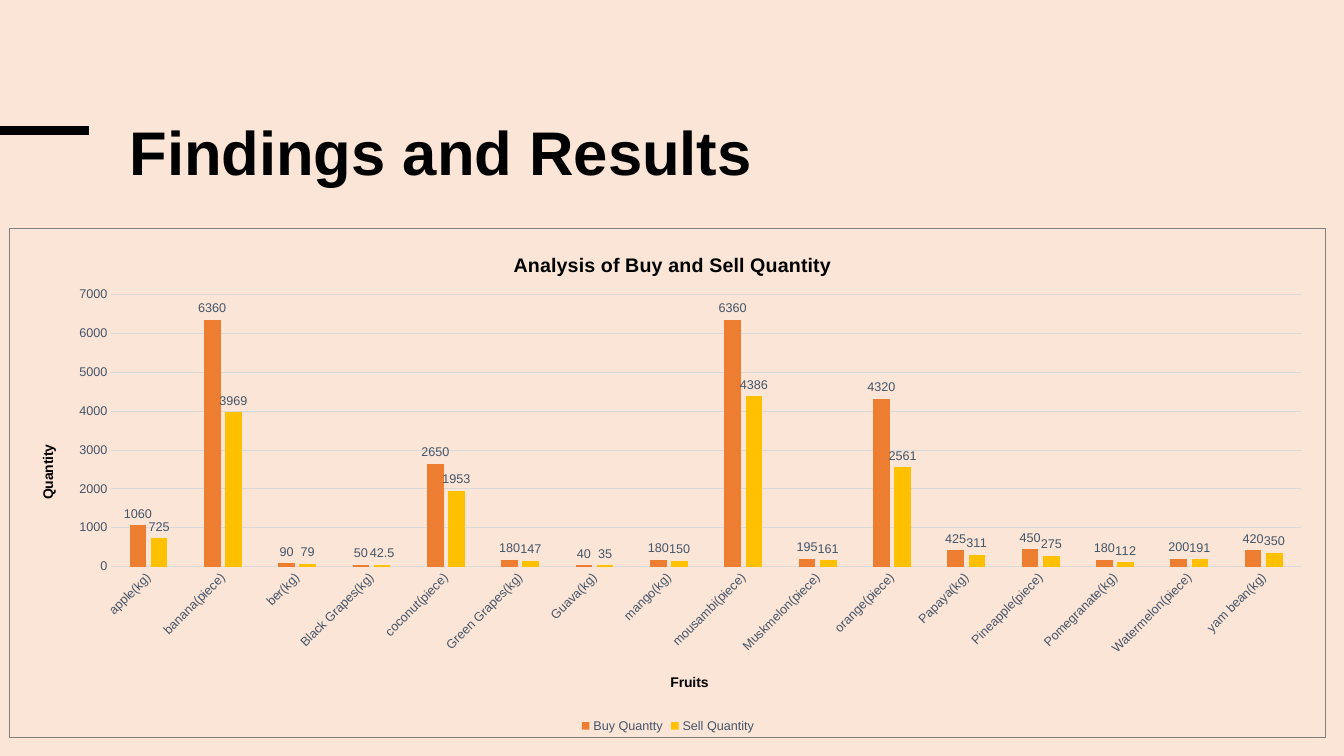
from lxml.etree import SubElement
from pptx import Presentation
from pptx.chart.data import CategoryChartData
from pptx.dml.color import RGBColor
from pptx.enum.chart import XL_CHART_TYPE, XL_LABEL_POSITION, XL_LEGEND_POSITION, XL_TICK_MARK
from pptx.enum.shapes import MSO_CONNECTOR
from pptx.oxml import parse_xml
from pptx.oxml.ns import nsdecls, qn
from pptx.util import Inches, Pt

COLORS = {
    "background": "FBE5D6",
    "title": "000000",
    "label": "44546A",
    "grid": "D9D9D9",
    "border": "808080",
    "buy": "ED7D31",
    "sell": "FFC000",
}

FRUITS = [
    ("apple(kg)", 1060, 725),
    ("banana(piece)", 6360, 3969),
    ("ber(kg)", 90, 79),
    ("Black Grapes(kg)", 50, 42.5),
    ("coconut(piece)", 2650, 1953),
    ("Green Grapes(kg)", 180, 147),
    ("Guava(kg)", 40, 35),
    ("mango(kg)", 180, 150),
    ("mousambi(piece)", 6360, 4386),
    ("Muskmelon(piece)", 195, 161),
    ("orange(piece)", 4320, 2561),
    ("Papaya(kg)", 425, 311),
    ("Pineapple(piece)", 450, 275),
    ("Pomegranate(kg)", 180, 112),
    ("Watermelon(piece)", 200, 191),
    ("yam bean(kg)", 420, 350),
]


class Deck:
    font = "Arial"
    width, height = Inches(13.33), Inches(7.5)

    def __init__(self):
        self.prs = Presentation()
        self.prs.slide_width, self.prs.slide_height = self.width, self.height

    def add_slide(self):
        self.s = self.prs.slides.add_slide(self.prs.slide_layouts[6])
        fill = self.s.background.fill
        fill.solid()
        fill.fore_color.rgb = self.color("background")

    def color(self, name):
        return RGBColor.from_string(COLORS[name])

    def x(self, share):
        return round(self.width * share)

    def y(self, share):
        return round(self.height * share)

    def box(self, x, y, w, h):
        return self.x(x), self.y(y), self.x(w), self.y(h)

    def style(self, font, size, color="label", bold=False):
        font.name, font.size, font.bold = self.font, Pt(size), bold
        font.color.rgb = self.color(color)

    def stroke(self, line, color, width):
        line.color.rgb = self.color(color)
        line.width = Pt(width)

    def line(self, x1, y1, x2, y2, color, width):
        c = self.s.shapes.add_connector(
            MSO_CONNECTOR.STRAIGHT, self.x(x1), self.y(y1), self.x(x2), self.y(y2))
        self.stroke(c.line, color, width)
        SubElement(c._element.spPr, qn("a:effectLst"))

    def text(self, text, box, size):
        tf = self.s.shapes.add_textbox(*self.box(*box)).text_frame
        tf.word_wrap = True
        tf.text = text
        p = tf.paragraphs[0]
        p.line_spacing = 0.85
        self.style(p.runs[0].font, size, "title", True)

    def place(self, parent, index, inner=False, **shares):
        for old in parent.findall(qn("c:layout")):
            parent.remove(old)
        layout = parse_xml(f'<c:layout {nsdecls("c")}><c:manualLayout/></c:layout>')
        parent.insert(index, layout)
        manual = layout[0]
        if inner:
            SubElement(manual, qn("c:layoutTarget")).set("val", "inner")
        for key in ("x", "y"):
            SubElement(manual, qn(f"c:{key}Mode")).set("val", "edge")
        for key, share in shares.items():
            SubElement(manual, qn(f"c:{key}")).set("val", str(share))

    def heading(self, title, text, size, x, y, rotation=0):
        tf = title.text_frame
        tf.text = text
        self.style(tf.paragraphs[0].runs[0].font, size, "title", True)
        tf._txBody.find(qn("a:bodyPr")).set("rot", str(rotation * 60000))
        self.place(title._element, 1, x=x, y=y)

    def axis(self, axis, title, x, y, rotation=0):
        self.heading(axis.axis_title, title, 10, x, y, rotation)
        axis.major_tick_mark = axis.minor_tick_mark = XL_TICK_MARK.NONE
        self.style(axis.tick_labels.font, 9)

    def column_chart(self, box, title, x_title, y_title, rows, series):
        data = CategoryChartData()
        names, *columns = zip(*rows)
        data.categories = names
        for (name, _), values in zip(series, columns):
            data.add_series(name, values)
        chart = self.s.shapes.add_chart(
            XL_CHART_TYPE.COLUMN_CLUSTERED, *self.box(*box), data).chart
        self.style(chart.font, 10)
        self.heading(chart.chart_title, title, 14, 0.38, 0.04)
        self.axis(chart.category_axis, x_title, 0.5, 0.87)
        self.axis(chart.value_axis, y_title, 0.02, 0.42, -90)
        self.stroke(chart.category_axis.format.line, "grid", 0.75)
        labels = chart.category_axis._element.find(qn("c:txPr"))
        labels.find(qn("a:bodyPr")).set("rot", str(-45 * 60000))
        chart.value_axis.format.line.fill.background()
        self.stroke(chart.value_axis.major_gridlines.format.line, "grid", 0.75)
        chart.has_legend = True
        chart.legend.position = XL_LEGEND_POSITION.BOTTOM
        chart.legend.include_in_layout = False
        self.style(chart.legend.font, 9)

        plot = chart.plots[0]
        plot.gap_width, plot.overlap, plot.vary_by_categories = 219, -27, False
        for item, (_, color) in zip(plot.series, series):
            item.format.fill.solid()
            item.format.fill.fore_color.rgb = self.color(color)
            values = item.data_labels
            values.show_value = True
            values.position = XL_LABEL_POSITION.OUTSIDE_END
            self.style(values.font, 9)

        root = chart._chartSpace
        area = root.find(qn("c:chart")).find(qn("c:plotArea"))
        self.place(area, 0, True, x=0.077, y=0.131, w=0.904, h=0.534)
        root.find(qn("c:chart")).addnext(parse_xml(
            f'<c:spPr {nsdecls("c", "a")}><a:noFill/><a:ln w="{Pt(0.75)}"><a:solidFill>'
            f'<a:srgbClr val="{COLORS["border"]}"/></a:solidFill></a:ln></c:spPr>'))


def main():
    deck = Deck()
    deck.add_slide()
    deck.line(0, 0.173, 0.066, 0.173, "title", 6.75)
    deck.text("Findings and Results", (0.089, 0.159, 0.814, 0.189), 44)
    deck.column_chart(
        (0.007, 0.301, 0.98, 0.675), "Analysis of Buy and Sell Quantity",
        "Fruits", "Quantity", FRUITS,
        [("Buy Quantty", "buy"), ("Sell Quantity", "sell")])
    deck.prs.save("out.pptx")


if __name__ == "__main__":
    main()
